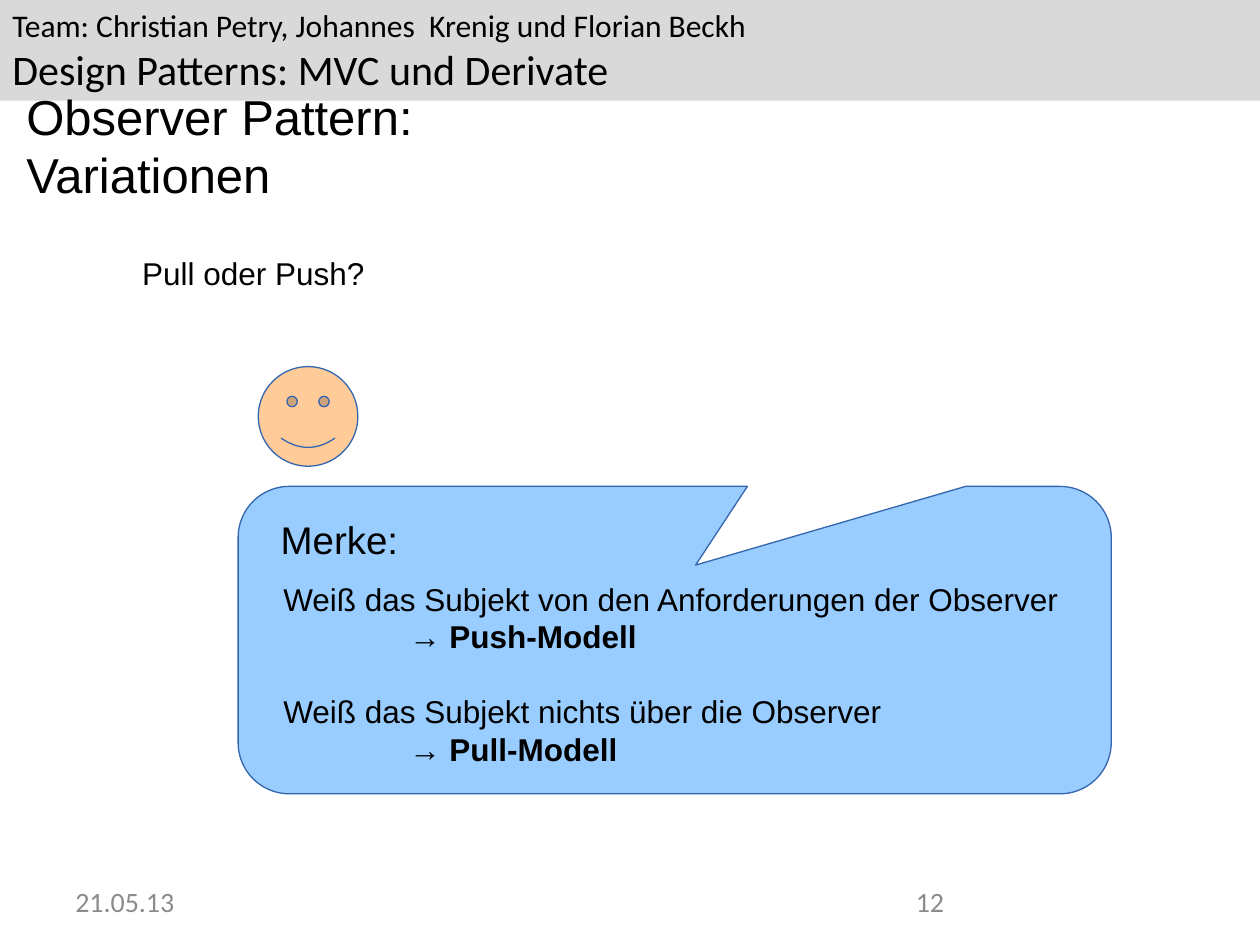
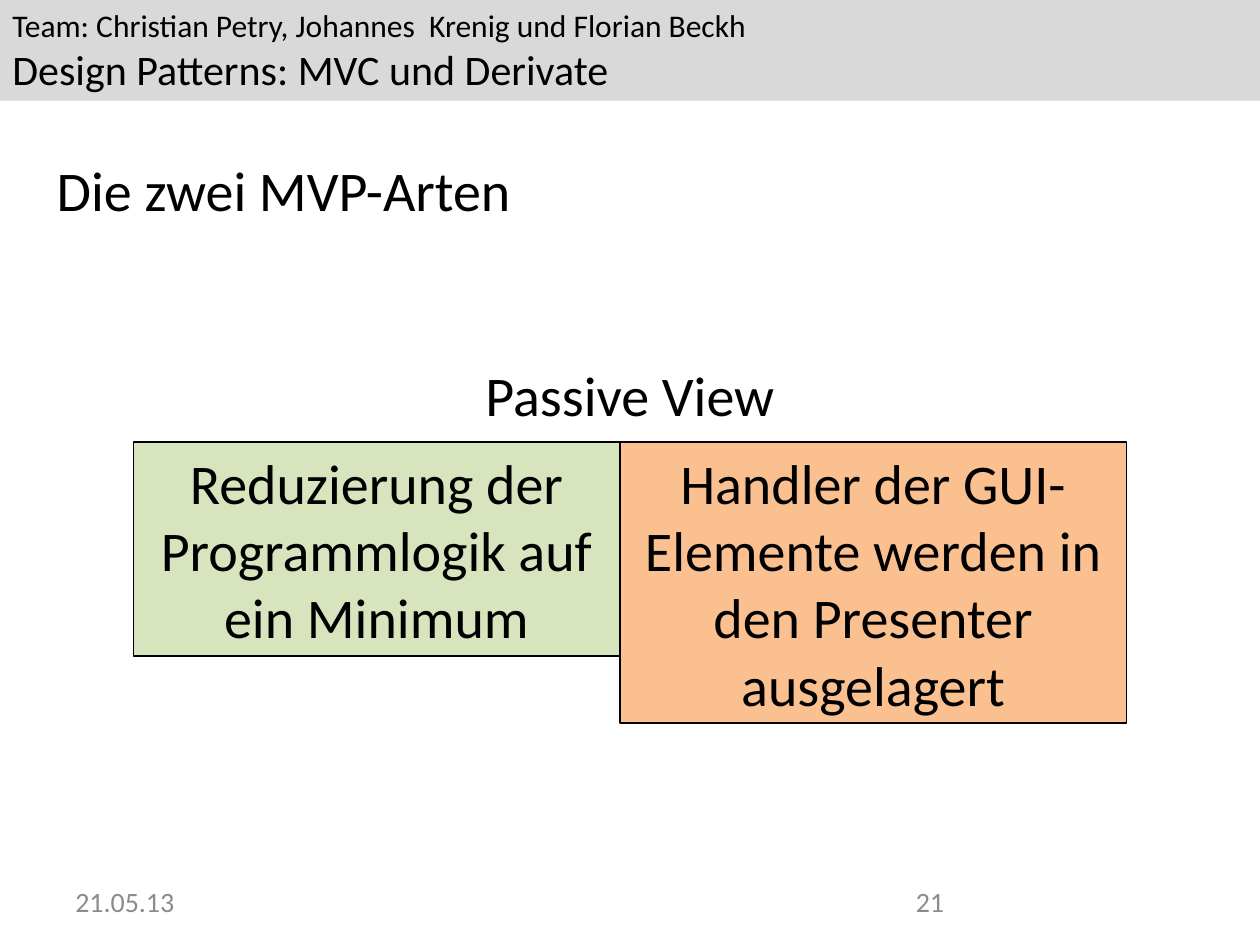
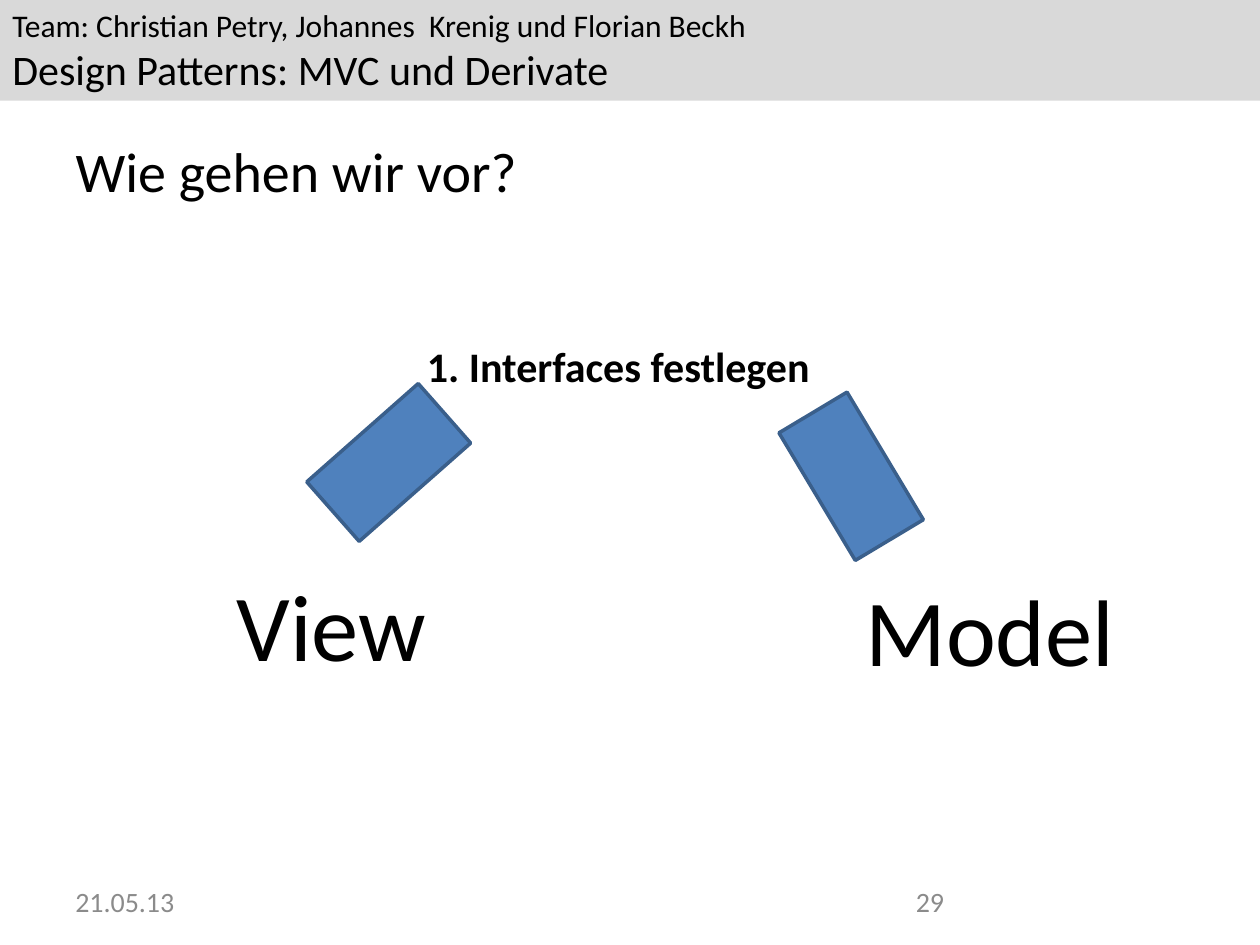
from dataclasses import dataclass

from pptx import Presentation
from pptx.dml.color import RGBColor
from pptx.enum.shapes import MSO_SHAPE as Shape
from pptx.enum.text import MSO_ANCHOR as Anchor, MSO_AUTO_SIZE as AutoSize, PP_ALIGN as Align
from pptx.util import Inches, Pt


@dataclass(frozen=True)
class Theme:
    # Fonts
    main: str = "Calibri"
    alt: str = "Arial"
    # Colours
    ink: str = "000000"
    band: str = "D9D9D9"
    footer: str = "8B8B8B"
    skin: str = "FFCC99"
    callout: str = "99CCFF"
    callout_line: str = "3465AF"
    green: str = "D7E4BD"
    orange: str = "FAC090"
    blue: str = "4F81BD"
    blue_line: str = "3A5F8B"
    # Type sizes
    small: int = 16
    body: int = 18
    note: int = 22
    medium: int = 24
    subtitle: int = 28
    title: int = 32
    huge: int = 54


T = Theme()
DATE = "21.05.13"


def rgb(value):
    return RGBColor.from_string(value)


def write(tf, *lines, size=T.body, font=T.main, color=T.ink, bold=False,
          align=Align.LEFT, anchor=Anchor.TOP, wrap=True):
    """Fill a text frame with one paragraph per line; size may be one per line."""
    tf.auto_size = AutoSize.NONE
    tf.word_wrap = wrap
    tf.vertical_anchor = anchor
    sizes = size if isinstance(size, tuple) else (size,) * len(lines)
    for i, (line, points) in enumerate(zip(lines, sizes)):
        p = tf.paragraphs[0] if i == 0 else tf.add_paragraph()
        p.alignment = align
        for text, strong in [(line, bold)] if isinstance(line, str) else line:
            r = p.add_run()
            r.text = text
            r.font.name = font
            r.font.size = Pt(points)
            r.font.bold = strong
            r.font.color.rgb = rgb(color)
    return tf


def add_text(s, box, *lines, **fmt):
    sp = s.shapes.add_textbox(*map(Inches, box))
    return write(sp.text_frame, *lines, **fmt)


def add_shape(s, kind, box, fill, line=None, width=1, rotation=0):
    sp = s.shapes.add_shape(kind, *map(Inches, box))
    sp.shadow.inherit = False
    sp.fill.solid()
    sp.fill.fore_color.rgb = rgb(fill)
    if line:
        sp.line.color.rgb = rgb(line)
        sp.line.width = Pt(width)
    else:
        sp.line.fill.background()
    sp.rotation = rotation
    return sp


# Shared parts
def add_band(prs, s):
    """Draw the header band and move it to the slide master."""
    sp = add_shape(s, Shape.RECTANGLE, (0, 0, 10, 0.8), T.band)
    write(sp.text_frame, "Team: Christian Petry, Johannes  Krenig und Florian Beckh",
          "Design Patterns: MVC und Derivate", size=(T.body, T.medium))
    prs.slide_master.shapes.element.insert(2, sp.element)


def add_slide(prs, title, box, number, **fmt):
    s = prs.slides.add_slide(prs.slide_layouts.get_by_name("Title Only"))
    sp = s.shapes.title
    sp.left, sp.top, sp.width, sp.height = map(Inches, box)
    write(sp.text_frame, title, anchor=Anchor.MIDDLE, **{"size": T.title, **fmt})
    for x, text in ((0.5, DATE), (7.17, str(number))):
        add_text(s, (x, 6.95, 2.33, 0.4), text, size=T.small, color=T.footer,
                 anchor=Anchor.MIDDLE)
    return s


# Slide regions
def add_reminder(s, x, y, w, h):
    """Callout with a heading and two rules, its tail pointing upwards."""
    sp = add_shape(s, Shape.ROUNDED_RECTANGULAR_CALLOUT, (x, y, w, h),
                   T.callout, T.callout_line, 0.75, rotation=180)
    sp.element.spPr.xfrm.set("flipH", "1")
    sp.adjustments[0], sp.adjustments[1] = 0.024, 0.244
    add_text(s, (x + 0.24, y + 0.19, 1.13, 0.44), "Merke:",
             size=T.note, font=T.alt, wrap=False)
    tf = add_text(s, (x + 0.26, y + 0.69, 6.34, 1.52),
                  "Weiß das Subjekt von den Anforderungen der Observer",
                  [("→ ", False), ("Push-Modell", True)],
                  "Weiß das Subjekt nichts über die Observer",
                  [("→ ", False), ("Pull-Modell", True)],
                  font=T.alt, wrap=False)
    for p in tf.paragraphs[1::2]:
        p._p.get_or_add_pPr().set("marL", str(Inches(1)))
    tf.paragraphs[2].space_before = Pt(21)


def add_columns(s, x, y, heading, columns):
    """Heading above adjoining boxes; each column is width, height, fill, text."""
    fmt = dict(size=T.title, align=Align.CENTER)
    add_text(s, (x, y, sum(c[0] for c in columns), 0.71), heading, **fmt)
    for w, h, fill, text in columns:
        sp = add_shape(s, Shape.RECTANGLE, (x, y + 0.7, w, h), fill, T.ink)
        write(sp.text_frame, text, **fmt)
        x += w


def add_branch(s, bar, rotation, label, box):
    """Tilted bar that leads down to a large label."""
    add_shape(s, Shape.RECTANGLE, (*bar, 0.63, 1.18), T.blue, T.blue_line, 2, rotation)
    add_text(s, box, label, size=T.huge, wrap=False)


# Slides
def observer_slide(prs):
    s = add_slide(prs, "Observer Pattern: Variationen", (0.11, 0.94, 5.09, 0.42), 12,
                  size=T.subtitle, font=T.alt)
    add_text(s, (1.03, 1.97, 2.75, 0.5), "Pull oder Push?", font=T.alt, wrap=False)
    add_shape(s, Shape.SMILEY_FACE, (2.05, 2.91, 0.79, 0.79), T.skin, T.callout_line, 0.75)
    add_reminder(s, 1.89, 3.86, 6.93, 2.44)
    return s


def mvp_slide(prs):
    s = add_slide(prs, "Die zwei MVP-Arten", (0.35, 0.99, 9, 1.02), 21)
    add_columns(s, 1.06, 2.81, "Passive View", [
        (3.86, 1.7, T.green, "Reduzierung der Programmlogik auf ein Minimum"),
        (4.02, 2.23, T.orange, "Handler der GUI-Elemente werden in den Presenter ausgelagert"),
    ])


def approach_slide(prs):
    s = add_slide(prs, "Wie gehen wir vor?", (0.5, 0.84, 9, 1.02), 29)
    add_text(s, (3.29, 2.65, 3.24, 0.5), "1. Interfaces festlegen",
             size=T.medium, bold=True, wrap=False)
    add_branch(s, (2.77, 3.08), 228.6, "View", (1.78, 4.45, 1.7, 1))
    add_branch(s, (6.44, 3.19), 149.1, "Model", (6.77, 4.49, 2.17, 1))


def main():
    prs = Presentation()
    prs.slide_width, prs.slide_height = Inches(10), Inches(7.5)
    add_band(prs, observer_slide(prs))
    mvp_slide(prs)
    approach_slide(prs)
    prs.save("out.pptx")


if __name__ == "__main__":
    main()
